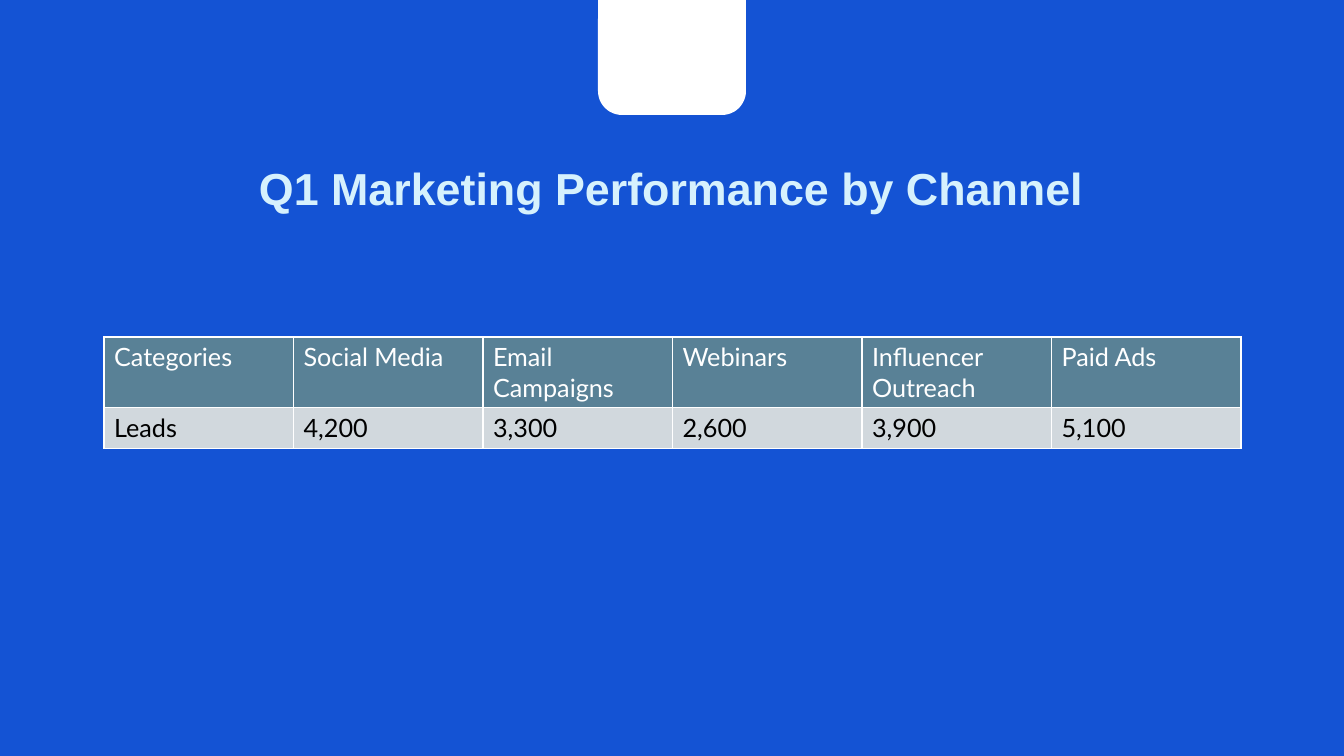
from lxml.etree import SubElement
from pptx import Presentation
from pptx.dml.color import RGBColor
from pptx.enum.shapes import MSO_SHAPE as Shape
from pptx.enum.text import MSO_ANCHOR as Anchor, PP_ALIGN as Align
from pptx.oxml.ns import qn
from pptx.util import Pt

# Content
TITLE = "Q1 Marketing Performance by Channel"
ROWS = [
    ("Categories", "Social Media", "Email Campaigns", "Webinars",
     "Influencer Outreach", "Paid Ads"),
    ("Leads", "4,200", "3,300", "2,600", "3,900", "5,100"),
]
COLORS = {
    "background": "1453D4", "white": "FFFFFF", "title": "D6F1FD",
    "header": "598196", "body": "D1D8DD", "black": "000000",
}
ROW_STYLES = [("header", "white"), ("body", "black")]  # fill, text

# Layout in px
SLIDE = (1344, 756)
TAB = (598, 0, 148, 115)
TAB_RADIUS = 24
TITLE_BOX = (36, 150, 1271, 75)
TABLE_LEFT, TABLE_TOP, TABLE_WIDTH = 104, 337, 1137
ROW_HEIGHTS = (70, 41)
EMU_PER_PX = 914400 / 100.8


def px(length):
    return round(length * EMU_PER_PX)


def color(name):
    return RGBColor.from_string(COLORS[name])


def write(frame, text, *, font, size, ink, bold=False, align=Align.LEFT, before=0):
    frame.word_wrap = True
    para = frame.paragraphs[0]
    para.alignment = align
    para.space_before = Pt(before)
    span = para.add_run()
    span.text = text
    span.font.name = font
    span.font.size = Pt(size)
    span.font.bold = bold
    span.font.color.rgb = color(ink)


def add_borders(cell, name, width):
    properties = cell._tc.get_or_add_tcPr()
    for side in ("lnL", "lnR", "lnT", "lnB"):
        line = SubElement(properties, qn(f"a:{side}"), w=str(Pt(width)))
        fill = SubElement(line, qn("a:solidFill"))
        SubElement(fill, qn("a:srgbClr"), val=COLORS[name])


def main():
    deck = Presentation()
    deck.slide_width, deck.slide_height = map(px, SLIDE)
    page = deck.slides.add_slide(deck.slide_layouts[6])
    page.background.fill.solid()
    page.background.fill.fore_color.rgb = color("background")

    # Tab at the top edge, rounded at the bottom only
    tab = page.shapes.add_shape(Shape.ROUND_2_SAME_RECTANGLE, *map(px, TAB))
    tab.adjustments[0] = 0
    tab.adjustments[1] = TAB_RADIUS / TAB[3]
    tab.shadow.inherit = False
    tab.fill.solid()
    tab.fill.fore_color.rgb = color("white")
    tab.line.fill.background()

    # Title
    box = page.shapes.add_textbox(*map(px, TITLE_BOX))
    frame = box.text_frame
    frame.margin_left = frame.margin_right = 0
    frame.margin_top = frame.margin_bottom = 0
    frame.vertical_anchor = Anchor.MIDDLE
    write(frame, TITLE, font="Arial", size=32, ink="title", bold=True,
          align=Align.CENTER, before=10)

    # Table
    table = page.shapes.add_table(
        len(ROWS), len(ROWS[0]), px(TABLE_LEFT), px(TABLE_TOP),
        px(TABLE_WIDTH), px(sum(ROW_HEIGHTS))).table
    for column in table.columns:
        column.width = px(TABLE_WIDTH / len(ROWS[0]))
    for r, (values, height, (fill, ink)) in enumerate(
            zip(ROWS, ROW_HEIGHTS, ROW_STYLES)):
        table.rows[r].height = px(height)
        for c, value in enumerate(values):
            cell = table.cell(r, c)
            add_borders(cell, "white", 1)
            cell.fill.solid()
            cell.fill.fore_color.rgb = color(fill)
            write(cell.text_frame, value, font="Lato", size=18, ink=ink)

    deck.save("out.pptx")


if __name__ == "__main__":
    main()
